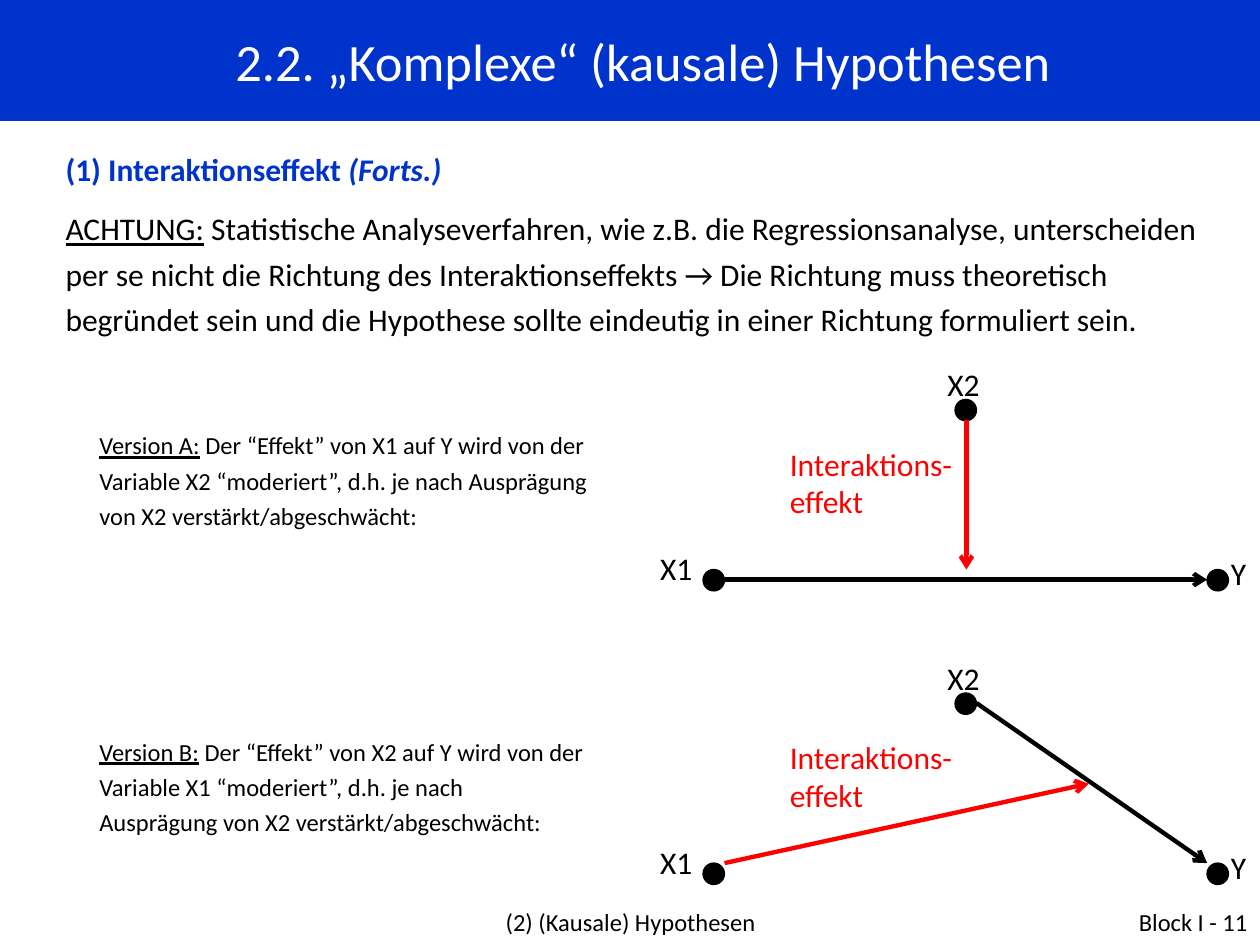
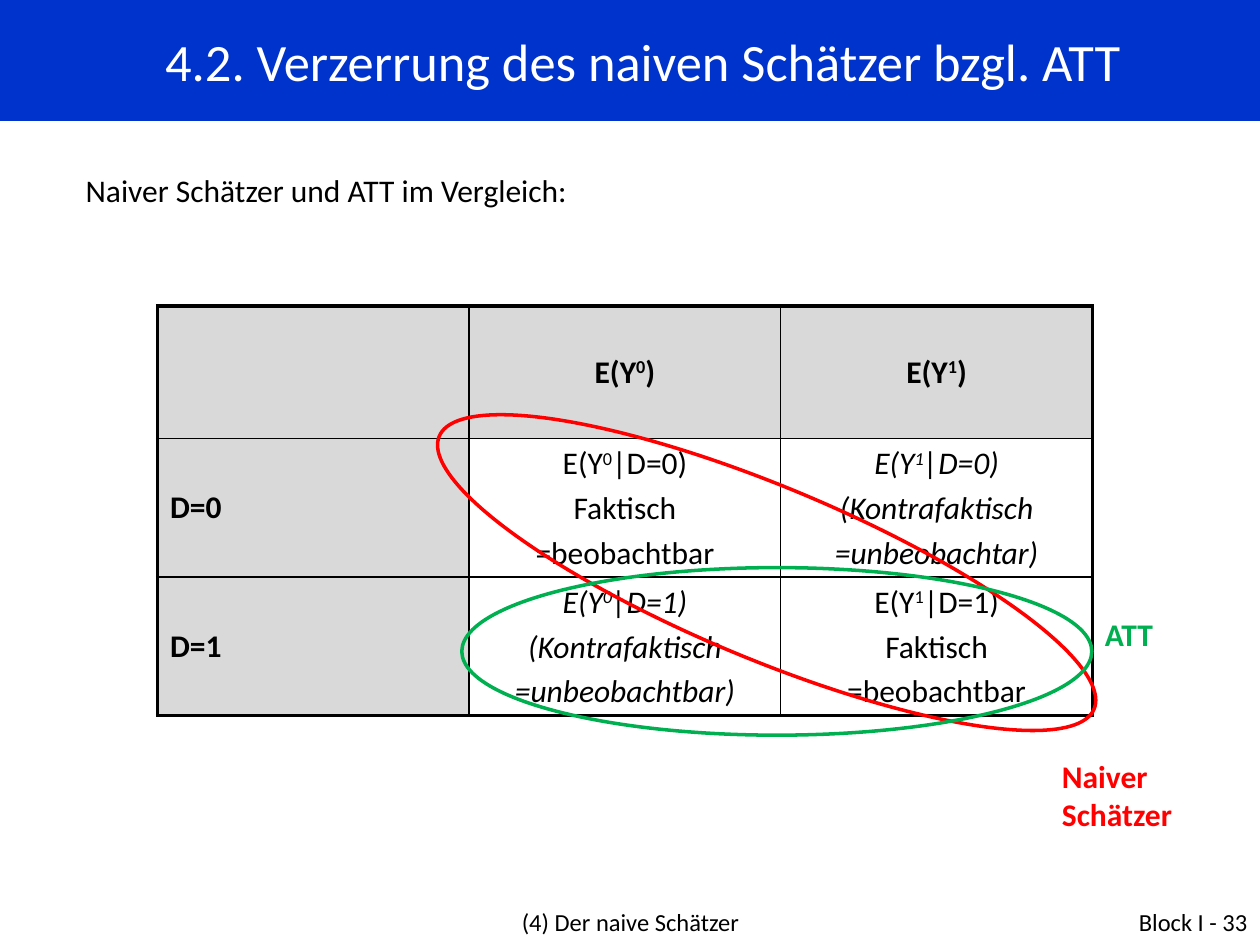
import dataclasses
import typing

import lxml.etree
import pptx
import pptx.dml.color
import pptx.enum.shapes
import pptx.enum.text
import pptx.oxml.ns
import pptx.util

Inches = pptx.util.Inches
Pt = pptx.util.Pt
Align = pptx.enum.text.PP_ALIGN
Anchor = pptx.enum.text.MSO_ANCHOR
qn = pptx.oxml.ns.qn

FONT = "Calibri"
BLUE, WHITE, BLACK = "0033CC", "FFFFFF", "000000"
RED, GREEN, GREY = "FF0000", "00B050", "D9D9D9"
DOT = 0.17
VERSION_STEP = 2.33


@dataclasses.dataclass(frozen=True)
class Run:
    text: str
    color: str = BLACK
    bold: bool = False
    italic: bool = False
    underline: bool = False
    raised: bool = False


@dataclasses.dataclass(frozen=True)
class Box:
    left: float
    top: float
    width: float
    height: float

    def lengths(self) -> list:
        return [Inches(v) for v in (self.left, self.top, self.width, self.height)]


class Point(typing.NamedTuple):
    x: float
    y: float


class Arrow(typing.NamedTuple):
    start: Point
    end: Point
    color: str


class Version(typing.NamedTuple):
    name: str
    explanation: str
    box: Box
    arrows: list[Arrow]


class Estimator(typing.NamedTuple):
    name: str
    color: str
    ellipse: Box
    rotation: float
    label: Box


Paragraph = list[Run]


def rgb(color: str) -> pptx.dml.color.RGBColor:
    return pptx.dml.color.RGBColor.from_string(color)


def write(frame, paragraphs: list[Paragraph], size: float = 18, align=Align.LEFT,
          spacing: float = 1.0, before: float = 0, after: float = 0) -> None:
    for index, runs in enumerate(paragraphs):
        paragraph = frame.add_paragraph() if index else frame.paragraphs[0]
        paragraph.alignment = align
        paragraph.line_spacing = spacing
        paragraph.space_before = Pt(size * before)
        paragraph.space_after = Pt(size * after)
        for part in runs:
            run = paragraph.add_run()
            run.text = part.text
            run.font.name = FONT
            run.font.size = Pt(size)
            run.font.color.rgb = rgb(part.color)
            run.font.bold = part.bold
            run.font.italic = part.italic
            run.font.underline = part.underline
            if part.raised:
                run._r.get_or_add_rPr().set("baseline", "30000")


def add_text(slide, box: Box, paragraphs: list[Paragraph], **style) -> None:
    frame = slide.shapes.add_textbox(*box.lengths()).text_frame
    frame.word_wrap = True
    write(frame, paragraphs, **style)


def place(placeholder, box: Box):
    placeholder.left, placeholder.top, placeholder.width, placeholder.height = box.lengths()
    placeholder.text_frame.auto_size = pptx.enum.text.MSO_AUTO_SIZE.NONE
    return placeholder.text_frame


def set_indent(paragraph, margin: float, first: float) -> None:
    properties = paragraph._p.get_or_add_pPr()
    properties.set("marL", str(Inches(margin)))
    properties.set("indent", str(Inches(first)))


def add_slide(deck, heading: str, chapter: str, number: int):
    slide = deck.slides.add_slide(deck.slide_layouts[1])
    title = slide.shapes.title
    title.fill.solid()
    title.fill.fore_color.rgb = rgb(BLUE)
    frame = place(title, Box(0, 0, 10, 0.96))
    frame.vertical_anchor = Anchor.MIDDLE
    write(frame, [[Run(heading, WHITE)]], size=30, align=Align.CENTER)
    set_indent(frame.paragraphs[0], 0.52, -0.31)
    add_text(slide, Box(2.42, 7.15, 5.17, 0.35), [[Run(chapter)]], size=14, align=Align.CENTER)
    add_text(slide, Box(7.67, 7.15, 2.33, 0.35), [[Run(f"Block I - {number}")]],
             size=14, align=Align.RIGHT)
    return slide


def fill_body(slide, box: Box, paragraphs: list[Paragraph], **style) -> None:
    frame = place(slide.placeholders[1], box)
    write(frame, paragraphs, **style)
    for paragraph in frame.paragraphs:
        set_indent(paragraph, 0, 0)
        lxml.etree.SubElement(paragraph._p.get_or_add_pPr(), qn("a:buNone"))


def add_ellipse(slide, box: Box, line: str, width: float, fill: str | None = None,
                rotation: float = 0) -> None:
    ellipse = slide.shapes.add_shape(pptx.enum.shapes.MSO_SHAPE.OVAL, *box.lengths())
    ellipse.shadow.inherit = False
    ellipse.rotation = rotation
    ellipse.line.color.rgb = rgb(line)
    ellipse.line.width = Pt(width)
    if fill:
        ellipse.fill.solid()
        ellipse.fill.fore_color.rgb = rgb(fill)
    else:
        ellipse.fill.background()


def add_arrow(slide, arrow: Arrow, drop: float) -> None:
    connector = slide.shapes.add_connector(
        pptx.enum.shapes.MSO_CONNECTOR.STRAIGHT,
        Inches(arrow.start.x), Inches(arrow.start.y + drop),
        Inches(arrow.end.x), Inches(arrow.end.y + drop))
    connector.line.color.rgb = rgb(arrow.color)
    connector.line.width = Pt(2.5)
    head = lxml.etree.SubElement(connector.line._get_or_add_ln(), qn("a:tailEnd"))
    head.set("type", "arrow")
    lxml.etree.SubElement(connector._element.spPr, qn("a:effectLst"))


def add_version(slide, version: Version, drop: float) -> None:
    add_text(slide, version.box,
             [[Run(f"Version {version.name}:", underline=True), Run(version.explanation)]],
             size=14, spacing=1.2, before=0.2, after=0.25)
    for dot in (Point(5.58, 4.52), Point(7.58, 3.17), Point(9.58, 4.52)):
        add_ellipse(slide, Box(dot.x, dot.y + drop, DOT, DOT), BLACK, 0.75, fill=BLACK)
    for arrow in version.arrows:
        add_arrow(slide, arrow, drop)
    for variable, box in (("X1", Box(5.14, 4.31, 0.5, 0.4)),
                          ("X2", Box(7.42, 2.85, 0.58, 0.4)),
                          ("Y", Box(9.67, 4.35, 0.33, 0.4))):
        add_text(slide, dataclasses.replace(box, top=box.top + drop), [[Run(variable)]])
    add_text(slide, Box(6.17, 3.48 + drop, 1.5, 0.71), [[Run("Interaktions-effekt", RED)]])


def set_borders(cell, widths: dict[str, float]) -> None:
    properties = cell._tc.get_or_add_tcPr()
    for index, (side, width) in enumerate(widths.items()):
        line = lxml.etree.Element(qn(f"a:ln{side}"), w=str(Pt(width)))
        paint = lxml.etree.SubElement(line, qn("a:solidFill"))
        lxml.etree.SubElement(paint, qn("a:srgbClr"), val=BLACK)
        properties.insert(index, line)


def expectation(outcome: str, condition: str = "", **style) -> Paragraph:
    return [Run("E(Y", **style), Run(outcome, raised=True, **style), Run(f"{condition})", **style)]


def outcome_cell(outcome: str, group: str, remarks: list[str]) -> list[Paragraph]:
    italic = outcome != group
    return [expectation(outcome, f"|D={group}", italic=italic),
            *([Run(remark, italic=italic)] for remark in remarks)]


def add_outcome_table(slide, box: Box, rows: list[list[list[Paragraph]]]) -> None:
    last_row, last_column = len(rows) - 1, len(rows[0]) - 1
    table = slide.shapes.add_table(len(rows), len(rows[0]), *box.lengths()).table
    table.first_row = table.horz_banding = False
    for r, row in enumerate(rows):
        for c, paragraphs in enumerate(row):
            cell = table.cell(r, c)
            cell.vertical_anchor = Anchor.MIDDLE
            if r == 0 or c == 0:
                cell.fill.solid()
                cell.fill.fore_color.rgb = rgb(GREY)
            else:
                cell.fill.background()
            write(cell.text_frame, paragraphs, before=0.2,
                  align=Align.CENTER if c else Align.LEFT)
            outer = {"L": c == 0, "R": c == last_column, "T": r == 0, "B": r == last_row}
            set_borders(cell, {side: 2.25 if edge else 1 for side, edge in outer.items()})


def build_interaction(deck) -> None:
    slide = add_slide(deck, "2.2. „Komplexe“ (kausale) Hypothesen", "(2) (Kausale) Hypothesen", 11)
    fill_body(slide, Box(0.42, 1.08, 9.5, 1.69), [
        [Run("(1) Interaktionseffekt ", BLUE, bold=True),
         Run("(Forts.)", BLUE, bold=True, italic=True)],
        [Run("ACHTUNG:", underline=True),
         Run(" Statistische Analyseverfahren, wie z.B. die Regressionsanalyse, unterscheiden "
             "per se nicht die Richtung des Interaktionseffekts → Die Richtung muss theoretisch "
             "begründet sein und die Hypothese sollte eindeutig in einer Richtung formuliert "
             "sein.")],
    ], spacing=1.2, before=0.2, after=0.25)
    versions = [
        Version("A", " Der “Effekt” von X1 auf Y wird von der Variable X2 “moderiert”, "
                "d.h. je nach Ausprägung von X2 verstärkt/abgeschwächt:",
                Box(0.69, 3.32, 4.14, 0.95),
                [Arrow(Point(5.75, 4.6), Point(9.58, 4.6), BLACK),
                 Arrow(Point(7.67, 3.33), Point(7.67, 4.52), RED)]),
        Version("B", " Der “Effekt” von X2 auf Y wird von der Variable X1 “moderiert”, "
                "d.h. je nach Ausprägung von X2 verstärkt/abgeschwächt:",
                Box(0.69, 5.75, 4.06, 0.95),
                [Arrow(Point(7.75, 3.25), Point(9.58, 4.52), BLACK),
                 Arrow(Point(5.75, 4.52), Point(8.64, 3.89), RED)]),
    ]
    for index, version in enumerate(versions):
        add_version(slide, version, index * VERSION_STEP)


def build_comparison(deck) -> None:
    slide = add_slide(deck, "4.2. Verzerrung des naiven Schätzer bzgl. ATT",
                      "(4) Der naive Schätzer", 33)
    fill_body(slide, Box(0.58, 1.23, 8.43, 0.45),
              [[Run("Naiver Schätzer und ATT im Vergleich:")]], spacing=1.25)
    factual = ["Faktisch", "=beobachtbar"]
    add_outcome_table(slide, Box(1.25, 2.43, 7.42, 3.15), [
        [[], [expectation("0", bold=True)], [expectation("1", bold=True)]],
        [[[Run("D=0", bold=True)]], outcome_cell("0", "0", factual),
         outcome_cell("1", "0", ["(Kontrafaktisch", "=unbeobachtar)"])],
        [[[Run("D=1", bold=True)]],
         outcome_cell("0", "1", ["(Kontrafaktisch", "=unbeobachtbar)"]),
         outcome_cell("1", "1", factual)],
    ])
    for estimator in (
        Estimator("Naiver Schätzer", RED, Box(3.27, 3.86, 5.63, 1.37), 22.6,
                  Box(8.33, 5.96, 1.42, 0.71)),
        Estimator("ATT", GREEN, Box(5.5, 2.67, 1.33, 5), 90, Box(8.67, 4.83, 0.71, 0.4)),
    ):
        add_ellipse(slide, estimator.ellipse, estimator.color, 2, rotation=estimator.rotation)
        add_text(slide, estimator.label, [[Run(estimator.name, estimator.color, bold=True)]])


def main() -> None:
    deck = pptx.Presentation()
    deck.slide_width, deck.slide_height = Inches(10), Inches(7.5)
    build_interaction(deck)
    build_comparison(deck)
    deck.save("out.pptx")


if __name__ == "__main__":
    main()
